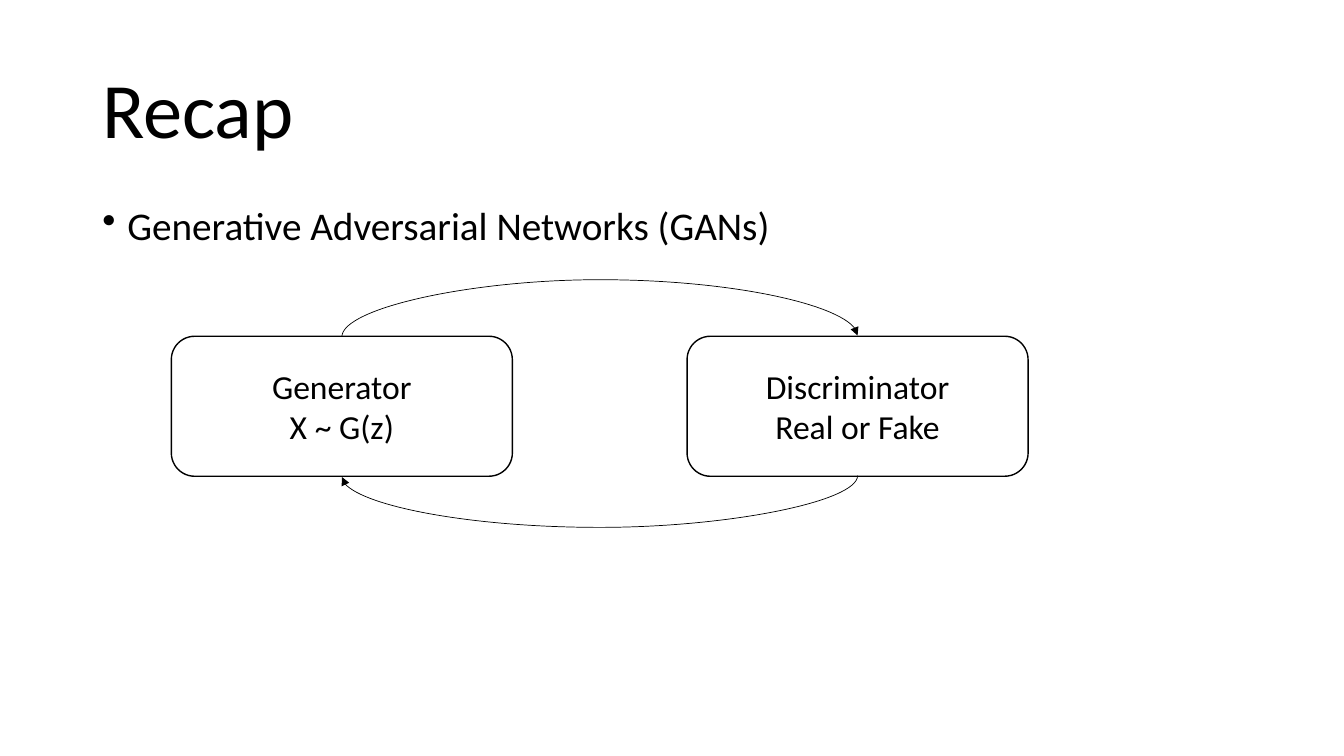
from dataclasses import dataclass

from lxml.etree import SubElement
from pptx import Presentation
from pptx.dml.color import RGBColor
from pptx.enum.shapes import MSO_CONNECTOR, MSO_SHAPE
from pptx.enum.text import MSO_ANCHOR, PP_ALIGN
from pptx.oxml.ns import qn
from pptx.util import Pt


@dataclass(frozen=True)
class Theme:
    font: str = "Calibri"
    ink: RGBColor = RGBColor(0, 0, 0)
    paper: RGBColor = RGBColor(255, 255, 255)
    title_size: int = 56
    body_size: int = 28
    label_size: int = 24
    outline: float = 1
    arrow: float = 0.5


@dataclass(frozen=True)
class Box:
    left: float
    top: float
    width: float
    height: float

    @property
    def center(self):
        return self.left + self.width / 2

    @property
    def bottom(self):
        return self.top + self.height

    def lengths(self):
        return [Pt(value) for value in (self.left, self.top, self.width, self.height)]


THEME = Theme()


def apply_format(target, values):
    for name, value in values.items():
        setattr(target, name, value)


def write_paragraph(paragraph, text, size, **layout):
    apply_format(paragraph, layout)
    paragraph.add_run().text = text
    apply_format(paragraph.font, {"name": THEME.font, "size": Pt(size)})
    paragraph.font.color.rgb = THEME.ink


def add_text_region(slide, box, anchor):
    frame = slide.shapes.add_textbox(*box.lengths()).text_frame
    apply_format(frame, {"word_wrap": True, "vertical_anchor": anchor})
    return frame.paragraphs[0]


def add_title(slide, box, text):
    paragraph = add_text_region(slide, box, MSO_ANCHOR.MIDDLE)
    write_paragraph(paragraph, text, THEME.title_size, line_spacing=0.9)


def add_bullet(slide, box, text):
    paragraph = add_text_region(slide, box, MSO_ANCHOR.TOP)
    properties = paragraph._p.get_or_add_pPr()
    properties.set("marL", str(Pt(18)))
    properties.set("indent", str(Pt(-18)))
    SubElement(properties, qn("a:buChar"), char="•")
    write_paragraph(paragraph, text, THEME.body_size, line_spacing=0.9)


def add_node(slide, box, lines):
    shape = slide.shapes.add_shape(MSO_SHAPE.ROUNDED_RECTANGLE, *box.lengths())
    shape.shadow.inherit = False
    shape.fill.solid()
    shape.fill.fore_color.rgb = THEME.paper
    shape.line.color.rgb = THEME.ink
    shape.line.width = Pt(THEME.outline)
    frame = shape.text_frame
    apply_format(frame, {"word_wrap": True, "vertical_anchor": MSO_ANCHOR.MIDDLE})
    for index, line in enumerate(lines):
        paragraph = frame.add_paragraph() if index else frame.paragraphs[0]
        write_paragraph(paragraph, line, THEME.label_size, alignment=PP_ALIGN.CENTER)


def add_curve(slide, start, end, level, bulge):
    middle = (start + end) / 2
    direction = 1 if start > end else -1
    half_span = (start - end) / 2
    half_width = direction / 2
    connector = slide.shapes.add_connector(
        MSO_CONNECTOR.CURVE,
        Pt(middle - half_width),
        Pt(level - half_span),
        Pt(middle + half_width),
        Pt(level + half_span),
    )
    connector.line.color.rgb = THEME.ink
    connector.line.width = Pt(THEME.arrow)
    properties = connector._element.spPr
    properties.find(qn("a:xfrm")).set("rot", str(90 * 60000))
    adjustments = properties.find(qn("a:prstGeom")).find(qn("a:avLst"))
    SubElement(adjustments, qn("a:gd"), name="adj1", fmla=f"val {round(bulge * 100000)}")
    SubElement(properties.find(qn("a:ln")), qn("a:tailEnd"), type="triangle")
    SubElement(properties, qn("a:effectLst"))


def add_network_loop(slide, box, node_width):
    generator = Box(box.left, box.top, node_width, box.height)
    discriminator = Box(
        box.left + box.width - node_width, box.top, node_width, box.height
    )
    add_node(slide, generator, ["Generator", "X ~ G(z)"])
    add_node(slide, discriminator, ["Discriminator", "Real or Fake"])
    add_curve(slide, generator.center, discriminator.center, box.top, 41.2)
    add_curve(slide, discriminator.center, generator.center, box.bottom, 37.3)


def main():
    presentation = Presentation()
    apply_format(presentation, {"slide_width": Pt(960), "slide_height": Pt(540)})
    slide = presentation.slides.add_slide(presentation.slide_layouts[6])
    add_title(slide, Box(66, 28.75, 828, 104.4), "Recap")
    add_bullet(slide, Box(66, 143.75, 828, 342.6), "Generative Adversarial Networks (GANs)")
    add_network_loop(slide, Box(122.4, 240.2, 612, 100), 243.6)
    presentation.save("out.pptx")


if __name__ == "__main__":
    main()
